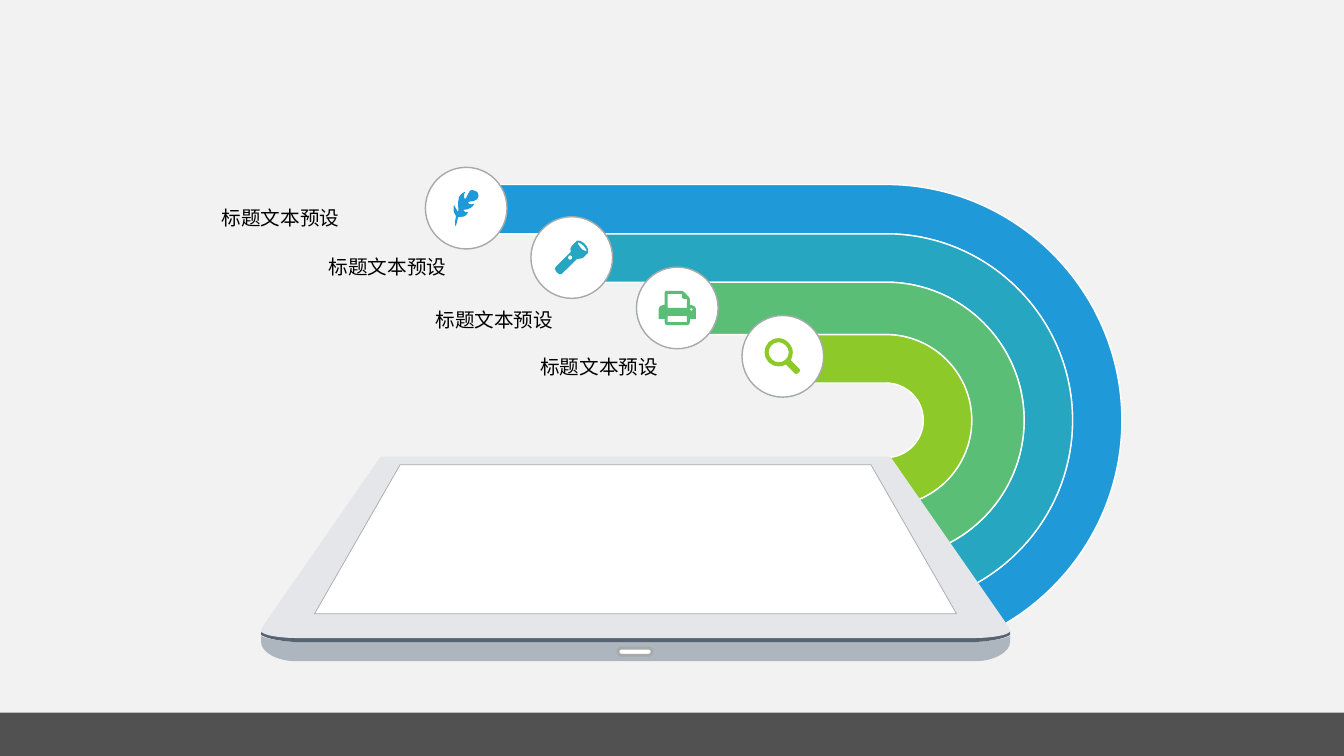
from dataclasses import dataclass
from itertools import pairwise

from lxml.etree import SubElement
from pptx import Presentation
from pptx.dml.color import RGBColor
from pptx.enum.shapes import MSO_SHAPE
from pptx.enum.text import MSO_ANCHOR, PP_ALIGN
from pptx.oxml.ns import qn
from pptx.util import Inches, Pt


@dataclass(frozen=True)
class Theme:
    background: str = "F2F2F2"
    footer: str = "0D0D0D"
    white: str = "FFFFFF"
    outline: str = "A6AAA9"
    body: str = "E4E6EA"
    edge: str = "586371"
    base: str = "ADB5BF"
    text: str = "000000"
    blue: str = "2099D8"
    teal: str = "27A6C2"
    green: str = "5BBE77"
    lime: str = "8DC928"
    font: str = "Calibri"
    label_size: int = 14


THEME = Theme()
COLS, ROWS = 133.33, 75
CELL = Inches(0.1)
ICON_UNIT = 0.1
BADGE = 8.1
ARC_CENTRE = 87.9, 41.7
ARC_PULL = 0.55
RADII = 23.4, 18.5, 13.7, 8.5, 3.7
TABLET_AXIS = 63.05

FEATHER = """M 2 35 C 3 33 3 31 4 27 C 9 26 11 28 14 22 C 12 23 9 21 9 20
C 9 19 16 21 20 14 C 15 15 13 13 14 12 C 15 11 20 12 23 9 C 24 8 25 5 24 4
C 24 2 20 0 17 0 C 15 0 12 9 11 9 C 10 9 9 5 11 2 C 9 2 6 5 5 7
C 3 12 5 21 4 22 C 4 22 1 17 0 15 C -1 18 -1 22 2 26 C 1 29 1 32 1 34
C 0 36 2 36 2 35"""
TORCH = """M 26 7 C 24 5 23 2 23 2 C 23 1 26 2 29 5 C 31 7 32 10 32 10
C 32 10 28 10 26 7 M 14 18 C 13 18 13 16 14 15 C 15 14 16 14 17 15
C 18 16 17 17 17 18 C 16 19 14 19 14 18 M 30 3 C 27 0 23 -1 22 0 L 17 5
C 16 6 15 9 16 11 L 1 26 C 0 27 0 29 2 31 C 4 33 6 34 7 33 L 22 18
C 25 18 27 17 28 17 L 33 12 C 34 10 33 6 30 3"""
PRINTER = """M 31 18.5 C 31 16.5 34 16.5 34 18.5 C 34 20.5 31 20.5 31 18.5
M 28 17 L 9 17 L 9 3 L 23 3 L 23 6 C 23 7 24 8 25 8 L 28 8
M 28 31 L 9 31 L 9 25 L 28 25 M 35 15 C 34 14 33 14 32 14 L 31 14 L 31 8
C 31 7 30 6 29 5 L 26 2 C 25 1 24 0 23 0 L 8 0 C 7 0 6 1 6 2 L 6 14 L 5 14
C 2 14 0 16 0 18 L 0 28 L 6 28 L 6 31 C 6 33 7 34 8 34
L 29 34 C 30 34 31 33 31 31 L 31 28 L 37 28 L 37 18 C 37 17 36 15 35 15"""
MAGNIFIER = """M 4 14 C 4 9 8 4 14 4 C 19 4 24 9 24 14 C 24 20 19 24 14 24
C 9 24 4 19 4 14 M 34 30 L 26 22 C 27 20 28 17 28 14 C 28 7 21 0 14 0
C 6 0 0 6 0 14 C 0 22 6 28 14 28 C 17 28 19 28 21 26 L 30 35
C 30 36 32 36 33 35 L 35 33 C 36 32 35 31 34 30"""

TABLET_HALVES = [
    ("M 63.05 63.7 L 29.4 63.7 C 29.4 63.7 26.9 63.6 25.9 63.1 L 25.9 63.7 "
     "C 25.9 64.7 27.5 65.6 29.4 65.6 L 63.05 65.6", THEME.base, None),
    ("M 63.05 63.3 L 29.4 63.3 C 29.4 63.3 26.9 63.2 25.9 62.6 L 25.9 63 "
     "C 26.9 63.6 29.4 63.7 29.4 63.7 L 63.05 63.7", THEME.edge, None),
    ("M 63.05 45.3 L 37.9 45.3 C 37.8 45.3 37.7 45.3 37.7 45.4 L 26.1 62.1 "
     "C 26 62.3 25.9 62.5 25.9 62.7 C 26.7 63.3 29.4 63.3 29.4 63.3 "
     "L 63.05 63.3", THEME.body, None),
    ("M 63.05 46.1 L 39.7 46.1 L 31.2 60.9 L 63.05 60.9", THEME.white, 0.5),
]

ITEMS = [
    (49.1, 16.6, 22, 20.4, THEME.blue, FEATHER),
    (58.5, 21.5, 32.6, 25.3, THEME.teal, TORCH),
    (68.6, 26.5, 43.2, 30.5, THEME.green, PRINTER),
    (77.5, 31.3, 53.6, 35.2, THEME.lime, MAGNIFIER),
]


def grid(*cells):
    return [round(c * CELL) for c in cells]


def paint(sp, fill, line=None, width=1):
    sp.shadow.inherit = False
    sp.fill.solid()
    sp.fill.fore_color.rgb = RGBColor.from_string(fill)
    if line:
        sp.line.color.rgb = RGBColor.from_string(line)
        sp.line.width = Pt(width)
    else:
        sp.line.fill.background()


def contours(outline):
    loops, tokens = [], iter(outline.split())
    for command in tokens:
        points = [(float(next(tokens)), float(next(tokens)))
                  for _ in range(3 if command == "C" else 1)]
        if command == "M":
            loops.append([])
        loops[-1].append(points)
    return loops


def flat(loop):
    return [point for segment in loop for point in segment]


def add_outline(s, loops, *style):
    (start,), *_ = loops[0]
    builder = s.shapes.build_freeform(*grid(*start), scale=1.0)
    for i, loop in enumerate(loops):
        first, *rest = [grid(*point) for point in flat(loop)]
        if i:
            builder.move_to(*first)
        builder.add_line_segments(rest, close=True)
    sp = builder.convert_to_shape()
    steps = iter(list(sp.element.iter(qn("a:lnTo"))))
    for segment in [part for loop in loops for part in loop[1:]]:
        head, *tail = [next(steps) for _ in segment]
        if tail:
            head.tag = qn("a:cubicBezTo")
        for step in tail:
            head.append(step[0])
            step.getparent().remove(step)
    paint(sp, *style)


def add_ribbon(s, start, outer, inner, color):
    cx, cy = ARC_CENTRE

    def bend(r, way):
        k = r * ARC_PULL
        return [[(cx, cy - way * r)],
                [(cx + k, cy - way * r), (cx + r, cy - way * k), (cx + r, cy)],
                [(cx + r, cy + way * k), (cx + k, cy + way * r),
                 (cx, cy + way * r)]]

    loop = [[(start, cy - outer)], *bend(outer, 1), *bend(inner, -1),
            [(start, cy - inner)]]
    add_outline(s, [loop], color, THEME.white)


def add_pill(s, x, y, w, h, width):
    sp = s.shapes.add_shape(MSO_SHAPE.ROUNDED_RECTANGLE, *grid(x, y, w, h))
    sp.adjustments[0] = 0.5
    paint(sp, THEME.white, THEME.outline, width)


def mirrored(half):
    points = iter([(2 * TABLET_AXIS - x, y) for x, y in reversed(flat(half))])
    return [[next(points)]] + [[next(points) for _ in segment]
                               for segment in reversed(half[1:])]


def add_tablet(s):
    for outline, fill, width in TABLET_HALVES:
        half = contours(outline)[0]
        line = THEME.outline if width else None
        add_outline(s, [half + mirrored(half)], fill, line, width)
    add_pill(s, 61.3, 64.3, 3.4, 0.7, 2)


def add_badge(s, x, y, icon, color):
    add_pill(s, x, y, BADGE, BADGE, 1)
    loops = contours(icon)
    xs, ys = zip(*[point for loop in loops for point in flat(loop)])
    left, top = [start + (BADGE - ICON_UNIT * (min(v) + max(v))) / 2
                 for start, v in ((x, xs), (y, ys))]
    add_outline(s, [[[(left + ICON_UNIT * a, top + ICON_UNIT * b)
                      for a, b in segment] for segment in loop]
                    for loop in loops], color)


def add_label(s, x, y, text):
    tf = s.shapes.add_textbox(*grid(x, y, 18, 2.8)).text_frame
    frame = dict(word_wrap=True, vertical_anchor=MSO_ANCHOR.TOP, margin_left=0,
                 margin_right=0, margin_top=0, margin_bottom=0)
    p = tf.paragraphs[0]
    p.alignment = PP_ALIGN.LEFT
    r = p.add_run()
    r.text = text
    r.font.color.rgb = RGBColor.from_string(THEME.text)
    font = dict(name=THEME.font, size=Pt(THEME.label_size))
    for target, values in ((tf, frame), (r.font, font)):
        for name, value in values.items():
            setattr(target, name, value)


def add_footer(s):
    sp = s.shapes.add_shape(MSO_SHAPE.RECTANGLE, *grid(0, 70.7, COLS, ROWS - 70.7))
    paint(sp, THEME.footer)
    color = next(sp.element.iter(qn("a:srgbClr")))
    SubElement(color, qn("a:alpha"), val="70000")


def main():
    prs = Presentation()
    prs.slide_width, prs.slide_height = grid(COLS, ROWS)
    s = prs.slides.add_slide(prs.slide_layouts[6])
    s.background.fill.solid()
    s.background.fill.fore_color.rgb = RGBColor.from_string(THEME.background)
    add_footer(s)
    for (start, *_, color, _), radii in zip(ITEMS, pairwise(RADII)):
        add_ribbon(s, start, *radii, color)
    add_tablet(s)
    for i, (_, badge_y, label_x, label_y, color, icon) in enumerate(ITEMS):
        add_badge(s, 42.2 + 10.47 * i, badge_y, icon, color)
        add_label(s, label_x, label_y, "标题文本预设")
    prs.save("out.pptx")


if __name__ == "__main__":
    main()
